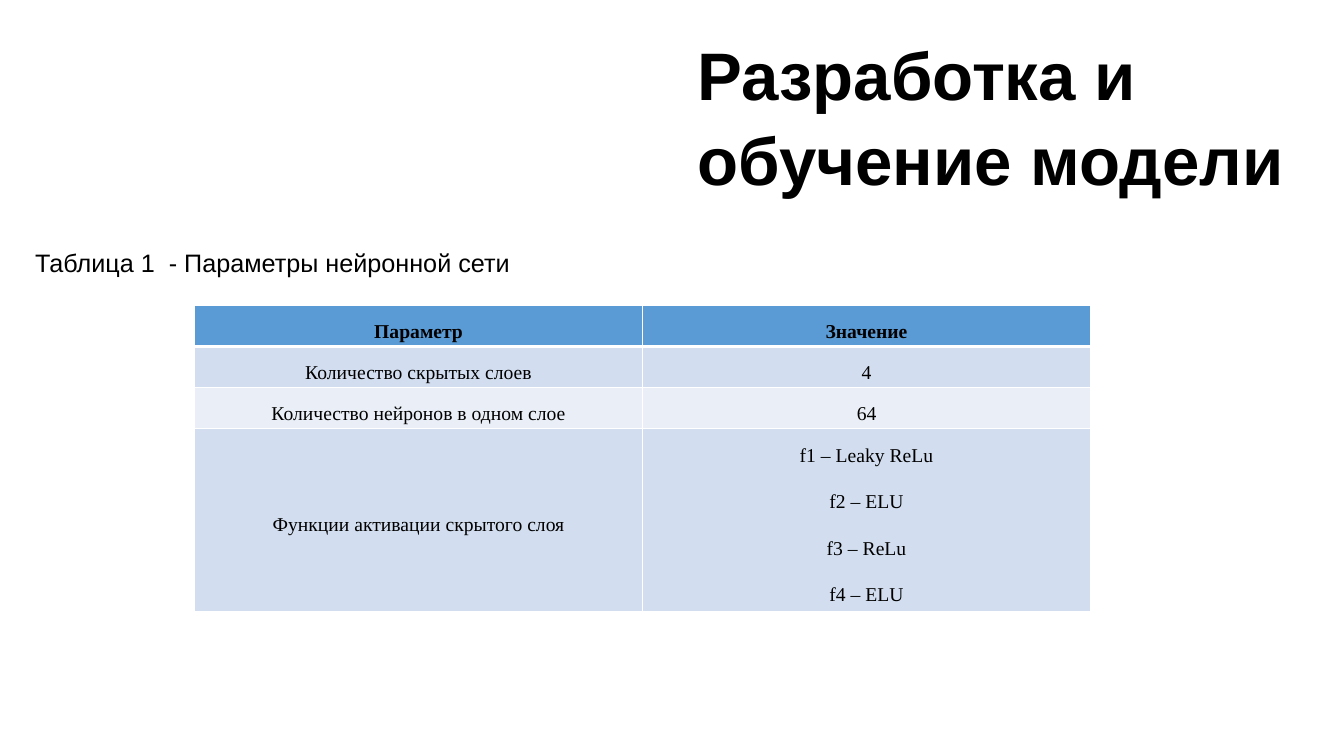
from lxml.etree import SubElement
from pptx import Presentation
from pptx.dml.color import RGBColor
from pptx.enum.text import MSO_ANCHOR, MSO_AUTO_SIZE, PP_ALIGN
from pptx.oxml.ns import qn
from pptx.util import Pt

COLORS = {"text": "000000", "border": "FFFFFF", "header": "5B9BD5",
          "odd_row": "D2DEEF", "even_row": "EAEFF7"}
ROWS = [
    ("Параметр", "Значение"),
    ("Количество скрытых слоев", "4"),
    ("Количество нейронов в одном слое", "64"),
    ("Функции активации скрытого слоя",
     "f1 – Leaky ReLu\nf2 – ELU\nf3 – ReLu\nf4 – ELU"),
]
ROW_FILLS = ["header", "odd_row", "even_row", "odd_row"]
ROW_HEIGHTS = [29.3, 29.3, 29.3, 130.6]
COLUMN_WIDTH = 320


def write_text(frame, text, font_format, paragraph_format):
    frame.text = text
    for paragraph in frame.paragraphs:
        for name, value in paragraph_format.items():
            setattr(paragraph, name, value)
        for run in paragraph.runs:
            for name, value in font_format.items():
                setattr(run.font, name, value)
            run.font.color.rgb = RGBColor.from_string(COLORS["text"])


def add_cell_border(cell, side, width):
    line = SubElement(cell._tc.get_or_add_tcPr(), qn(f"a:{side}"), w=str(Pt(width)))
    fill = SubElement(line, qn("a:solidFill"))
    SubElement(fill, qn("a:srgbClr"), val=COLORS["border"])


presentation = Presentation()
presentation.slide_width = Pt(960)
presentation.slide_height = Pt(540)
slide = presentation.slides.add_slide(presentation.slide_layouts[5])

# Title and table caption
title = slide.shapes.title
title.left, title.top, title.width, title.height = Pt(491), Pt(17.3), Pt(453), Pt(118.8)
caption = slide.shapes.add_textbox(Pt(18), Pt(172), Pt(926), Pt(70))
for shape, text, size, bold in [
    (title, "Разработка и обучение модели", 48, True),
    (caption, "Таблица 1  - Параметры нейронной сети", 18, False),
]:
    frame = shape.text_frame
    frame.word_wrap = True
    frame.auto_size = MSO_AUTO_SIZE.NONE
    frame.vertical_anchor = MSO_ANCHOR.TOP
    write_text(frame, text, {"name": "Arial", "size": Pt(size), "bold": bold},
               {"alignment": PP_ALIGN.LEFT, "line_spacing": 1.05})

# Network parameters
table = slide.shapes.add_table(
    len(ROWS), 2, Pt(139), Pt(218.2), Pt(2 * COLUMN_WIDTH), Pt(sum(ROW_HEIGHTS))
).table
for column in table.columns:
    column.width = Pt(COLUMN_WIDTH)

cell_format = {"vertical_anchor": MSO_ANCHOR.MIDDLE, "margin_left": Pt(5),
               "margin_right": Pt(5), "margin_top": 0, "margin_bottom": 0}
for row_index, row in enumerate(ROWS):
    table.rows[row_index].height = Pt(ROW_HEIGHTS[row_index])
    is_header = row_index == 0
    for column_index, text in enumerate(row):
        cell = table.cell(row_index, column_index)
        for name, value in cell_format.items():
            setattr(cell, name, value)
        write_text(cell.text_frame, text,
                   {"name": "Times New Roman", "size": Pt(14), "bold": is_header},
                   {"alignment": PP_ALIGN.CENTER, "line_spacing": 1.5,
                    "space_after": Pt(10)})
        top_width = 3 if row_index == 1 else 1
        bottom_width = 3 if is_header else 1
        for side, width in [("lnL", 1), ("lnR", 1), ("lnT", top_width), ("lnB", bottom_width)]:
            add_cell_border(cell, side, width)
        cell.fill.solid()
        cell.fill.fore_color.rgb = RGBColor.from_string(COLORS[ROW_FILLS[row_index]])

presentation.save("out.pptx")
